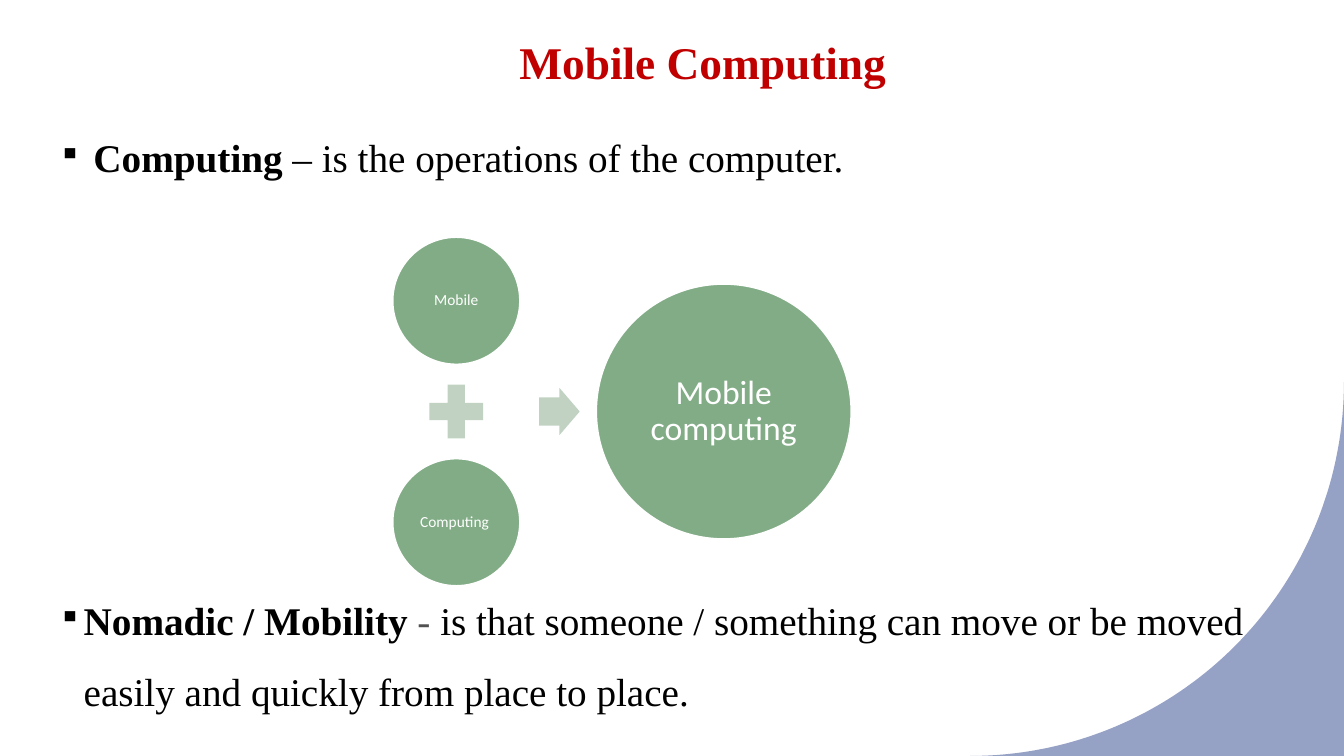
import math

import pptx
import pptx.dml.color
import pptx.enum.shapes
import pptx.enum.text
import pptx.oxml.ns
import pptx.util
from lxml import etree

Cm = pptx.util.Cm
Pt = pptx.util.Pt
RGBColor = pptx.dml.color.RGBColor
SHAPE = pptx.enum.shapes.MSO_SHAPE
ANCHOR = pptx.enum.text.MSO_ANCHOR
ALIGN = pptx.enum.text.PP_ALIGN

WHITE = RGBColor(0xFF, 0xFF, 0xFF)
BLACK = RGBColor(0x00, 0x00, 0x00)
GREY = RGBColor(0x51, 0x51, 0x51)
RED = RGBColor(0xC0, 0x00, 0x00)
GREEN = RGBColor(0x81, 0xAC, 0x86)
PALE_GREEN = RGBColor(0xC1, 0xD2, 0xC3)
PERIWINKLE = RGBColor(0x96, 0xA1, 0xC6)

SERIF = "Times New Roman"
SANS = "Calibri"
SLIDE_W, SLIDE_H = 33.87, 19.05


def style(font, name, size, color, bold=False):
    font.name = name
    font.size = Pt(size)
    font.bold = bold
    font.color.rgb = color


def add_corner(s):
    """Fill the bottom right corner outside a quarter circle."""
    radius = 9.42
    cx, cy = SLIDE_W - radius, SLIDE_H - radius
    angles = [math.radians(a) for a in range(91)]
    arc = [(Cm(cx + radius * math.cos(a)), Cm(cy + radius * math.sin(a)))
           for a in angles]
    builder = s.shapes.build_freeform(*arc[0])
    builder.add_line_segments(arc[1:] + [(Cm(SLIDE_W), Cm(SLIDE_H))])
    sp = builder.convert_to_shape()
    sp.shadow.inherit = False
    sp.fill.solid()
    sp.fill.fore_color.rgb = PERIWINKLE
    sp.line.fill.background()


def set_title(s, text):
    sp = s.shapes.title
    sp.left, sp.top, sp.width, sp.height = Cm(3.89), Cm(0.61), Cm(27.64), Cm(1.75)
    tf = sp.text_frame
    tf.text = text
    tf.vertical_anchor = ANCHOR.BOTTOM
    p = tf.paragraphs[0]
    p.alignment = ALIGN.CENTER
    p.line_spacing = 1.1
    style(p.runs[0].font, SERIF, 32.4, RED, True)


def add_bullet(s, top, height, line_spacing, parts):
    """Add one bulleted paragraph; parts are (text, colour, bold)."""
    sp = s.shapes.add_textbox(Cm(1.22), Cm(top), Cm(32.13), Cm(height))
    tf = sp.text_frame
    tf.word_wrap = True
    p = tf.paragraphs[0]
    p.line_spacing = line_spacing
    pPr = p._p.get_or_add_pPr()
    pPr.set("marL", str(Cm(0.64)))
    pPr.set("indent", str(Cm(-0.64)))
    size = etree.SubElement(pPr, pptx.oxml.ns.qn("a:buSzPct"))
    size.set("val", "80000")
    bullet = etree.SubElement(pPr, pptx.oxml.ns.qn("a:buChar"))
    bullet.set("char", "▪")
    for text, color, bold in parts:
        r = p.add_run()
        r.text = text
        style(r.font, SERIF, 28, color, bold)


def add_shape(s, kind, left, top, width, height, color):
    sp = s.shapes.add_shape(kind, Cm(left), Cm(top), Cm(width), Cm(height))
    sp.shadow.inherit = False
    sp.fill.solid()
    sp.fill.fore_color.rgb = color
    sp.line.fill.background()
    return sp


def add_circle(s, cx, cy, diameter, text, size):
    sp = add_shape(s, SHAPE.OVAL, cx - diameter / 2, cy - diameter / 2,
                   diameter, diameter, GREEN)
    sp.line.color.rgb = WHITE
    sp.line.width = Pt(1)
    tf = sp.text_frame
    tf.text = text
    tf.word_wrap = True
    tf.vertical_anchor = ANCHOR.MIDDLE
    tf.margin_left = tf.margin_right = tf.margin_top = tf.margin_bottom = Cm(0.05)
    p = tf.paragraphs[0]
    p.alignment = ALIGN.CENTER
    p.line_spacing = 0.9
    style(p.runs[0].font, SANS, size, WHITE)


def add_equation(s):
    """Draw Mobile + Computing -> Mobile computing."""
    left_x, mid_y, step = 11.5, 10.37, 2.79
    add_circle(s, left_x, mid_y - step, 3.2, "Mobile", 11)
    add_circle(s, left_x, mid_y + step, 3.2, "Computing ", 11)
    plus = 1.85
    add_shape(s, SHAPE.MATH_PLUS, left_x - plus / 2, mid_y - plus / 2,
              plus, plus, PALE_GREEN)
    arrow_h = 1.19
    arrow = add_shape(s, SHAPE.RIGHT_ARROW, 13.59, mid_y - arrow_h / 2,
                      1.02, arrow_h, PALE_GREEN)
    arrow.adjustments[0] = 0.6
    arrow.adjustments[1] = 0.5
    add_circle(s, 18.24, mid_y, 6.42, "Mobile computing", 24)


def main():
    prs = pptx.Presentation()
    prs.slide_width, prs.slide_height = Cm(SLIDE_W), Cm(SLIDE_H)
    s = prs.slides.add_slide(prs.slide_layouts.get_by_name("Title Only"))
    add_corner(s)
    set_title(s, "Mobile Computing")
    add_bullet(s, 3.66, 1.1, Pt(21.6), [
        (" Computing", BLACK, True),
        (" – is the operations of the computer.", BLACK, False),
    ])
    add_equation(s)
    add_bullet(s, 14.32, 3.5, 1.5, [
        ("Nomadic / Mobility ", BLACK, True),
        ("- ", GREY, False),
        ("is that someone / something can move or be moved easily and quickly "
         "from place to place.", BLACK, False),
    ])
    prs.save("out.pptx")


if __name__ == "__main__":
    main()
